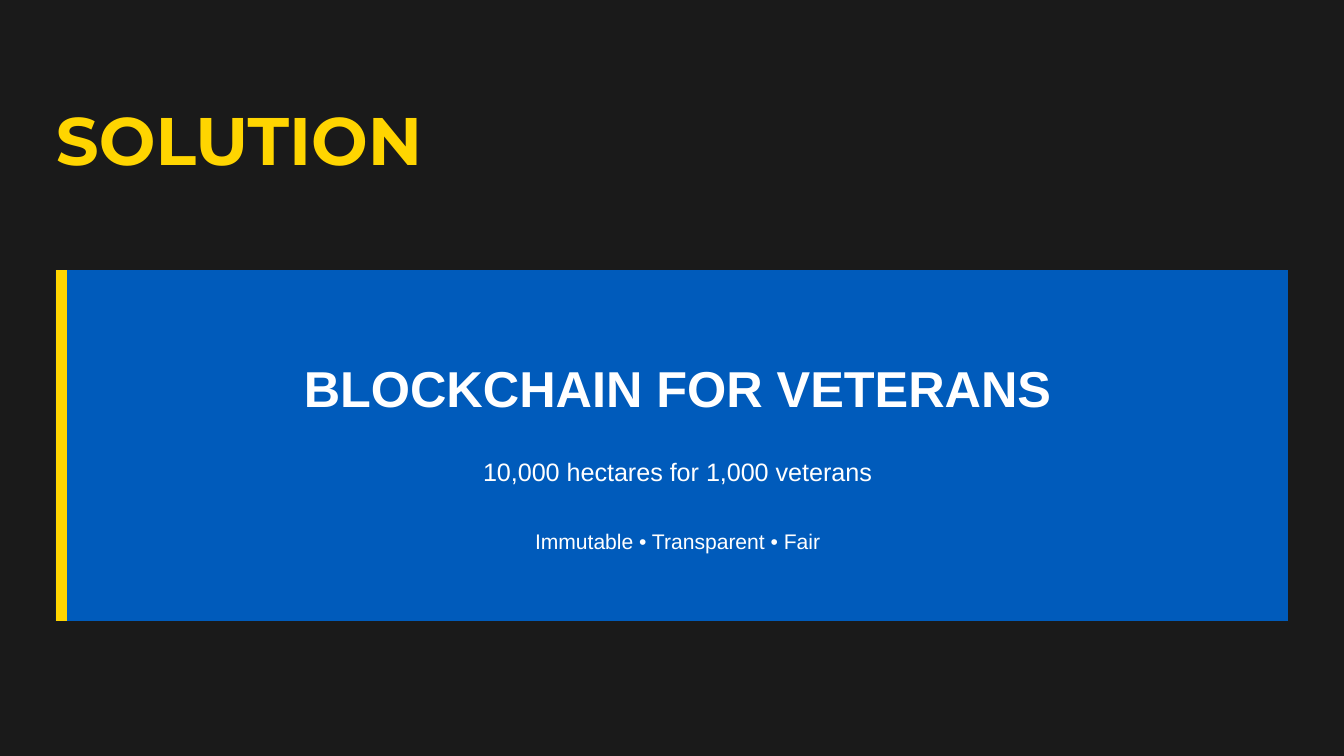
from dataclasses import dataclass

from pptx import Presentation
from pptx.dml.color import RGBColor
from pptx.enum.shapes import MSO_CONNECTOR as Link, MSO_SHAPE as Shape
from pptx.enum.text import PP_ALIGN as Align
from pptx.oxml.ns import qn
from pptx.slide import Slide
from pptx.util import Inches, Pt
from lxml.etree import SubElement

WIDE = 10
HIGH = WIDE * 9 / 16
EDGE = WIDE / 24
TOP, DEEP = 2.01, 2.61
BAR = 6
PAD = 0.5
DARK, BLUE, GOLD, WHITE = "1A1A1A", "005BBB", "FFD500", "FFFFFF"


@dataclass(frozen=True)
class Label:
    """A single line of text with its place and style."""
    text: str
    left: float
    top: float
    width: float
    size: float
    lead: float
    color: str = WHITE
    font: str = "Arial"
    bold: bool = False
    align: Align = Align.CENTER
    inset: float = 0


def tint(code: str) -> RGBColor:
    """Turn a hex string into a colour."""
    return RGBColor.from_string(code)


def draw_label(slide: Slide, item: Label) -> None:
    """Add a text box as high as its line and insets."""
    high = item.lead / 72 + 2 * item.inset
    box = slide.shapes.add_textbox(
        Inches(item.left), Inches(item.top), Inches(item.width), Inches(high))
    frame = box.text_frame
    frame.word_wrap = True
    frame.margin_left = frame.margin_right = 0
    frame.margin_top = frame.margin_bottom = Inches(item.inset)
    para = frame.paragraphs[0]
    para.text = item.text
    para.alignment = item.align
    para.line_spacing = Pt(item.lead)
    font = para.font
    font.name, font.size, font.bold = item.font, Pt(item.size), item.bold
    font.color.rgb = tint(item.color)


def draw_panel(slide: Slide) -> None:
    """Add the blue panel with the gold bar on its left edge."""
    panel = slide.shapes.add_shape(
        Shape.RECTANGLE, Inches(EDGE), Inches(TOP),
        Inches(WIDE - 2 * EDGE), Inches(DEEP))
    panel.shadow.inherit = False
    panel.fill.solid()
    panel.fill.fore_color.rgb = tint(BLUE)
    panel.line.fill.background()
    mid = Inches(EDGE) + Pt(BAR / 2)
    bar = slide.shapes.add_connector(
        Link.STRAIGHT, mid, Inches(TOP), mid, Inches(TOP + DEEP))
    bar.line.color.rgb = tint(GOLD)
    bar.line.width = Pt(BAR)
    SubElement(bar._element.spPr, qn("a:effectLst"))


def main() -> None:
    """Build the slide and save it."""
    deck = Presentation()
    deck.slide_width, deck.slide_height = Inches(WIDE), Inches(HIGH)
    slide = deck.slides.add_slide(deck.slide_layouts[6])
    slide.background.fill.solid()
    slide.background.fill.fore_color.rgb = tint(DARK)
    draw_label(slide, Label("SOLUTION", EDGE, 0.62, 4.69, 36, 36, GOLD,
                            "Montserrat", True, Align.LEFT, 0.21))
    draw_panel(slide)
    left = EDGE + PAD
    width = WIDE - 2 * left + BAR / 72
    first = TOP + PAD
    for text, top, size, lead, bold in (
        ("BLOCKCHAIN FOR VETERANS", first, 27, 43.2, True),
        ("10,000 hectares for 1,000 veterans", first + 0.81, 13.5, 21.6, False),
        ("Immutable • Transparent • Fair", first + 1.36, 11.25, 18, False),
    ):
        draw_label(slide, Label(text, left, top, width, size, lead, bold=bold))
    deck.save("out.pptx")


if __name__ == "__main__":
    main()
